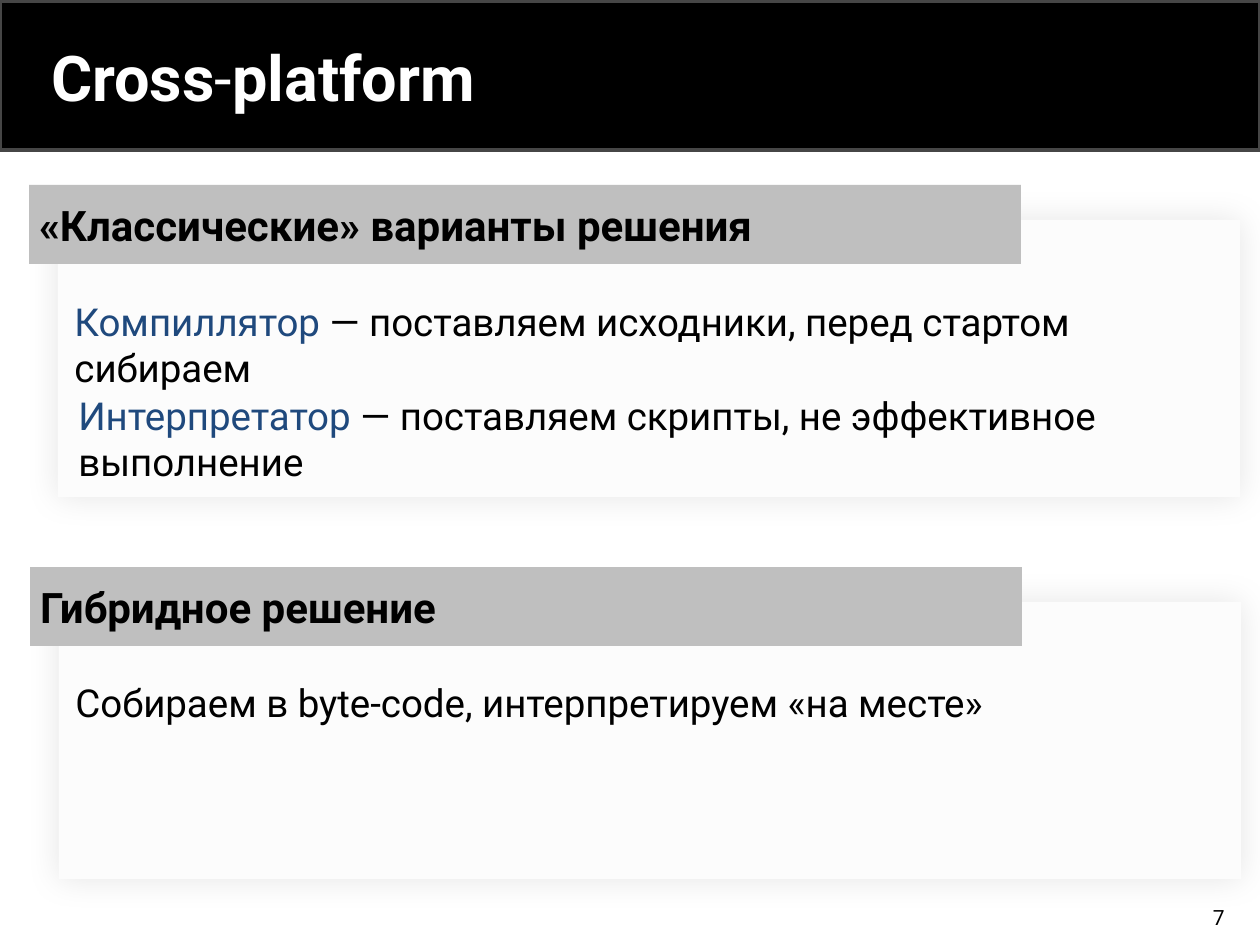
from lxml import etree
from pptx import Presentation
from pptx import util as u
from pptx.dml.color import RGBColor
from pptx.enum import shapes, text
from pptx.oxml import ns

PX = u.Inches(1) / 126
FONT = "Roboto"
BLACK = RGBColor(0x00, 0x00, 0x00)
WHITE = RGBColor(0xFF, 0xFF, 0xFF)
BAND_EDGE = RGBColor(0x46, 0x46, 0x46)
PANEL_GREY = RGBColor(0xFC, 0xFC, 0xFC)
HEADING_GREY = RGBColor(0xBF, 0xBF, 0xBF)
TERM_BLUE = RGBColor(0x1F, 0x49, 0x7D)


def px(*lengths):
    return [round(length * PX) for length in lengths]


def write_spans(para, spans, size):
    """Fill a paragraph with (wording, colour, bold) spans."""
    for wording, colour, bold in spans:
        span = para.add_run()
        span.text = wording
        span.font.name = FONT
        span.font.size = u.Pt(size)
        span.font.bold = bold
        span.font.color.rgb = colour


def add_rect(page, frame, fill):
    rect = page.shapes.add_shape(shapes.MSO_SHAPE.RECTANGLE, *px(*frame))
    rect.shadow.inherit = False
    rect.fill.solid()
    rect.fill.fore_color.rgb = fill
    rect.line.fill.background()
    return rect


def add_soft_shadow(rect):
    effects = rect.element.spPr.find(ns.qn("a:effectLst"))
    shadow = etree.SubElement(effects, ns.qn("a:outerShdw"),
                              blurRad=str(u.Pt(19)), dist="0", dir="0",
                              algn="ctr", rotWithShape="0")
    colour = etree.SubElement(shadow, ns.qn("a:srgbClr"), val=str(BLACK))
    etree.SubElement(colour, ns.qn("a:alpha"), val="10000")


def add_text(page, frame, spans, size):
    box = page.shapes.add_textbox(*px(*frame))
    box.text_frame.word_wrap = True
    box.text_frame.auto_size = text.MSO_AUTO_SIZE.SHAPE_TO_FIT_TEXT
    write_spans(box.text_frame.paragraphs[0], spans, size)
    return box


def add_title(page):
    title = page.shapes.title
    title.left, title.top, title.width, title.height = px(23, 13, 1027, 126)
    frame = title.text_frame
    frame.auto_size = text.MSO_AUTO_SIZE.NONE
    frame.vertical_anchor = text.MSO_ANCHOR.MIDDLE
    para = frame.paragraphs[0]
    para.alignment = text.PP_ALIGN.LEFT
    write_spans(para, [(" ", WHITE, False), ("Cross", WHITE, True),
                       ("-", WHITE, False), ("platform", WHITE, True)], 36)

    # Black band behind the title
    band = add_rect(page, (0, 1, 1260, 149), BLACK)
    band.line.color.rgb = BAND_EDGE
    band.line.width = u.Pt(2)
    title.element.addprevious(band.element)


def add_section(page, left, top, heading, notes):
    """A shadowed panel with its notes and an overlapping heading bar."""
    panel = add_rect(page, (left + 29, top + 35, 1182, 277), PANEL_GREY)
    add_soft_shadow(panel)

    for (dx, dy, width), spans in notes:
        add_text(page, (left + dx, top + dy, width, 59), spans, 22)

    bar = add_rect(page, (left, top, 992, 79), HEADING_GREY)
    frame = bar.text_frame
    frame.word_wrap = True
    frame.vertical_anchor = text.MSO_ANCHOR.MIDDLE
    frame.margin_left, frame.margin_right = px(10, 10)
    frame.margin_top, frame.margin_bottom = px(5, 5)
    para = frame.paragraphs[0]
    para.alignment = text.PP_ALIGN.LEFT
    para.space_after = u.Pt(6)
    write_spans(para, [(heading, BLACK, True)], 24)


def add_page_number(page, number):
    box = add_text(page, (950, 898, 287, 38), [(number, BLACK, False)], 12)
    box.text_frame.auto_size = text.MSO_AUTO_SIZE.NONE
    box.text_frame.vertical_anchor = text.MSO_ANCHOR.MIDDLE
    box.text_frame.paragraphs[0].alignment = text.PP_ALIGN.RIGHT


def main():
    deck = Presentation()
    deck.slide_width, deck.slide_height = px(1260, 945)
    page = deck.slides.add_slide(deck.slide_layouts[5])
    add_title(page)

    # Classic and hybrid approaches
    add_section(page, 29, 185, "«Классические» варианты решения", [
        ((33, 107, 1077), [
            ("Компиллятор ", TERM_BLUE, False),
            ("― поставляем исходники, перед стартом сибираем", BLACK, False)]),
        ((37, 201, 1143), [
            ("Интерпретатор ", TERM_BLUE, False),
            ("― поставляем скрипты, не эффективное выполнение", BLACK, False)]),
    ])
    add_section(page, 30, 567, "Гибридное решение", [
        ((33, 106, 1077), [
            ("Собираем в byte-code, интерпретируем «на месте»", BLACK, False)]),
    ])

    add_page_number(page, "7")
    deck.save("out.pptx")


if __name__ == "__main__":
    main()
